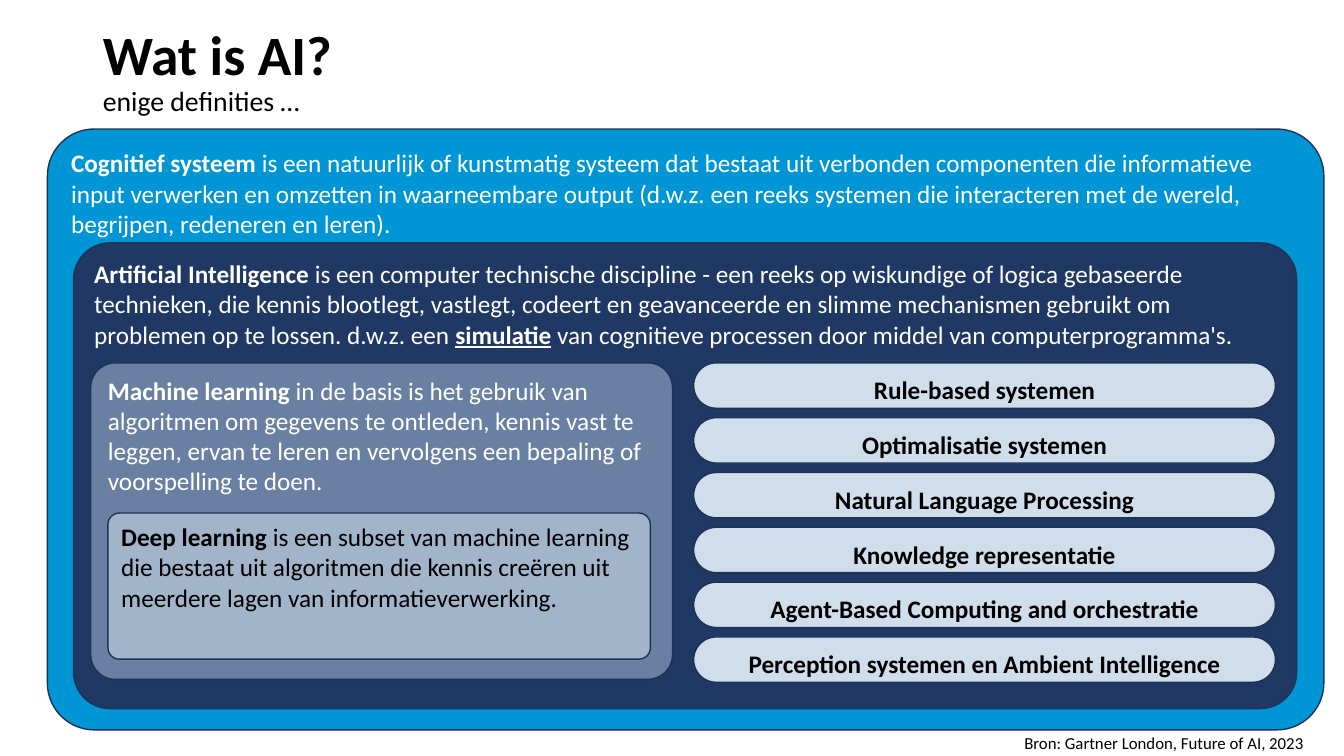
from pptx import Presentation
from pptx.dml.color import RGBColor
from pptx.enum.shapes import MSO_SHAPE
from pptx.enum.text import MSO_ANCHOR, MSO_AUTO_SIZE, PP_ALIGN
from pptx.util import Inches, Pt

ROUNDED = MSO_SHAPE.ROUNDED_RECTANGLE
TOP, MIDDLE = MSO_ANCHOR.TOP, MSO_ANCHOR.MIDDLE
LEFT, CENTER = PP_ALIGN.LEFT, PP_ALIGN.CENTER
NO_AUTOFIT = MSO_AUTO_SIZE.NONE
TITLE_ONLY = 5

COLORS = {
    "cognitive": "0096D6",
    "intelligence": "203864",
    "machine": "6980A3",
    "deep": "A1B4CA",
    "technique": "D0DEEB",
    "outline": "1E3256",
    "light": "FFFFFF",
    "dark": "000000",
}

SYSTEMS = [
    "Rule-based systemen",
    "Optimalisatie systemen",
    "Natural Language Processing",
    "Knowledge representatie",
    "Agent-Based Computing and orchestratie",
    "Perception systemen en Ambient Intelligence",
]

DEFINITIONS = [
    ((3.53, 17.07, 94.97, 79.47), "cognitive", "light", [
        ("Cognitief systeem ", True),
        ("is een natuurlijk of kunstmatig systeem dat bestaat uit verbonden componenten "
         "die informatieve input verwerken en omzetten in waarneembare output (d.w.z. een "
         "reeks systemen die interacteren met de wereld, begrijpen, redeneren en leren).", False),
    ]),
    ((5.48, 32.13, 91, 61.6), "intelligence", "light", [
        ("Artificial Intelligence ", True),
        ("is een computer technische discipline - een reeks op wiskundige of logica "
         "gebaseerde technieken, die kennis blootlegt, vastlegt, codeert en geavanceerde en "
         "slimme mechanismen gebruikt om problemen op te lossen. d.w.z. een ", False),
        ("simulatie", True, True),
        (" van cognitieve processen door middel van computerprogramma's.", False),
    ]),
    ((6.75, 48, 43.29, 41.87), "machine", "light", [
        ("Machine learning ", True),
        ("in de basis is het gebruik van algoritmen om gegevens te ontleden, kennis vast te "
         "leggen, ervan te leren en vervolgens een bepaling of voorspelling te doen.", False),
    ]),
    ((8.03, 67.87, 40.36, 19.33), "deep", "dark", [
        ("Deep learning ", True),
        ("is een subset van machine learning die bestaat uit algoritmen die kennis creëren "
         "uit meerdere lagen van informatieverwerking.", False),
    ]),
]


def add_run(paragraph, text, size=18, color="dark", bold=False, underline=False):
    run = paragraph.add_run()
    run.text = text
    font = run.font
    font.name = "Calibri"
    font.size = Pt(size)
    font.bold = bold
    font.underline = underline
    font.color.rgb = RGBColor.from_string(COLORS[color])


class DefinitionSlide:
    def __init__(self, presentation):
        self.width = presentation.slide_width
        self.height = presentation.slide_height
        self.slide = presentation.slides.add_slide(presentation.slide_layouts[TITLE_ONLY])

    def frame(self, left, top, width, height):
        return (int(self.width * left / 100), int(self.height * top / 100),
                int(self.width * width / 100), int(self.height * height / 100))

    def title(self, box, heading, subtitle):
        shape = self.slide.shapes.title
        shape.left, shape.top, shape.width, shape.height = self.frame(*box)
        text_frame = shape.text_frame
        text_frame.auto_size = NO_AUTOFIT
        text_frame.vertical_anchor = MIDDLE
        paragraph = text_frame.paragraphs[0]
        paragraph.alignment = LEFT
        paragraph.line_spacing = 0.9
        add_run(paragraph, heading, size=39.6, bold=True)
        paragraph.add_line_break()
        add_run(paragraph, subtitle, size=19.8)

    def panel(self, box, fill, color, runs, rounding=0.078, alignment=LEFT):
        shape = self.slide.shapes.add_shape(ROUNDED, *self.frame(*box))
        shape.adjustments[0] = rounding
        shape.shadow.inherit = False
        shape.fill.solid()
        shape.fill.fore_color.rgb = RGBColor.from_string(COLORS[fill])
        shape.line.color.rgb = RGBColor.from_string(COLORS["outline"])
        shape.line.width = Pt(1)
        text_frame = shape.text_frame
        text_frame.word_wrap = True
        text_frame.vertical_anchor = TOP
        paragraph = text_frame.paragraphs[0]
        paragraph.alignment = alignment
        for text, bold, *underline in runs:
            add_run(paragraph, text, color=color, bold=bold, underline=bool(underline))

    def source(self, box, text):
        text_frame = self.slide.shapes.add_textbox(*self.frame(*box)).text_frame
        text_frame.word_wrap = True
        add_run(text_frame.paragraphs[0], text, size=12)


def main():
    presentation = Presentation()
    presentation.slide_width = Inches(13.33)
    presentation.slide_height = Inches(7.5)
    page = DefinitionSlide(presentation)
    page.title((6.9, 3.47, 86.27, 12.27), "Wat is AI?", "enige definities …")
    for definition in DEFINITIONS:
        page.panel(*definition)
    for row, system in enumerate(SYSTEMS):
        page.panel((51.61, 48 + 7.25 * row, 43.29, 6), "technique", "dark",
                   [(system, True)], rounding=0.5, alignment=CENTER)
    page.source((75.47, 96.27, 22.36, 4), "Bron: Gartner London, Future of AI, 2023")
    presentation.save("out.pptx")


if __name__ == "__main__":
    main()
